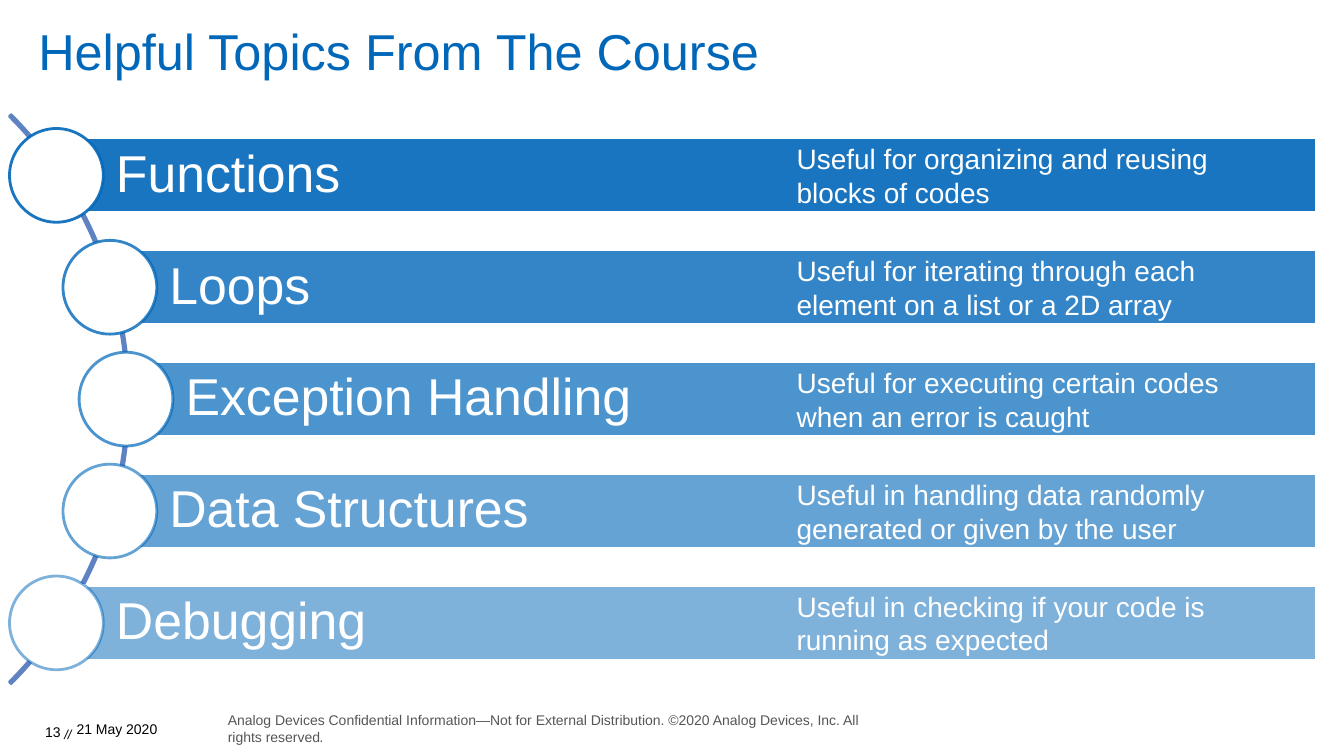
from dataclasses import dataclass

from lxml.etree import SubElement
from pptx import Presentation
from pptx.dml.color import RGBColor
from pptx.enum.shapes import MSO_SHAPE
from pptx.enum.text import MSO_ANCHOR, MSO_AUTO_SIZE, PP_ALIGN
from pptx.oxml.ns import qn
from pptx.util import Inches, Pt


@dataclass(frozen=True)
class Theme:
    font: str = "Arial"
    blue: RGBColor = RGBColor(0x00, 0x67, 0xB9)
    arc: RGBColor = RGBColor(0x5E, 0x82, 0xC2)
    gray: RGBColor = RGBColor(0x55, 0x56, 0x59)
    black: RGBColor = RGBColor(0, 0, 0)
    white: RGBColor = RGBColor(0xFF, 0xFF, 0xFF)
    title: Pt = Pt(36)
    topic: Pt = Pt(37)
    detail: Pt = Pt(20)
    slashes: Pt = Pt(16)
    footer: Pt = Pt(10)
    outline: Pt = Pt(2)


theme = Theme()


def write(shape, text, size, color, anchor, insets=(0, 0, 0, 0), align=PP_ALIGN.LEFT):
    frame = shape.text_frame
    frame.word_wrap = True
    frame.auto_size = MSO_AUTO_SIZE.NONE
    frame.vertical_anchor = anchor
    frame.margin_left, frame.margin_top, frame.margin_right, frame.margin_bottom = map(Inches, insets)
    para = frame.paragraphs[0]
    para.text = text
    para.alignment = align
    para.font.name = theme.font
    para.font.size = size
    para.font.color.rgb = color
    return para


def fade(parent, percent):
    color = parent.find(qn("a:solidFill"))[0]
    SubElement(color, qn("a:alpha")).set("val", str(percent * 1000))


deck = Presentation()
deck.slide_width = Inches(13.33)
deck.slide_height = Inches(7.5)
page = deck.slides.add_slide(deck.slide_layouts[5])
shapes = page.shapes

title = shapes.title
title.left, title.top, title.width, title.height = map(Inches, (0.38, -0.01, 11.25, 0.92))
write(title, "Helpful Topics From The Course", theme.title, theme.blue,
      MSO_ANCHOR.MIDDLE, (0, 0.2, 0, 0.1))

footer_top, footer_height = Inches(7.06), Inches(0.34)
notice = shapes.add_textbox(Inches(2.26), footer_top, Inches(6.47), footer_height)
para = write(notice, "Analog Devices Confidential Information—Not for External Distribution. "
             "©2020 Analog Devices, Inc. All rights reserved",
             theme.footer, theme.gray, MSO_ANCHOR.MIDDLE)
span = para.add_run()
span.text = "."
span.font.italic = True

number = shapes.add_textbox(Inches(0), footer_top, Inches(0.71), footer_height)
para = write(number, "13 ", theme.footer, theme.black, MSO_ANCHOR.MIDDLE, align=PP_ALIGN.RIGHT)
span = para.add_run()
span.text = "//"
span.font.size = theme.slashes
span.font.italic = True
span._r.get_or_add_rPr().set("baseline", "-11000")

date = shapes.add_textbox(Inches(0.76), footer_top, Inches(1.17), footer_height)
write(date, "21 May 2020", theme.footer, theme.black, MSO_ANCHOR.MIDDLE)

arc = shapes.add_shape(MSO_SHAPE.BLOCK_ARC, Inches(-6.7), Inches(-0.03), Inches(7.98), Inches(7.98))
for index, value in enumerate((189, 27, 0.003)):
    arc.adjustments[index] = value
arc.shadow.inherit = False
arc.fill.background()
arc.line.color.rgb = theme.arc
arc.line.width = theme.outline

topics = [
    ("Functions", 0.56, "Useful for organizing and reusing blocks of codes"),
    ("Loops", 1.09, "Useful for iterating through each element on a list or a 2D array"),
    ("Exception Handling", 1.25, "Useful for executing certain codes when an error is caught"),
    ("Data Structures", 1.09, "Useful in handling data randomly generated or given by the user"),
    ("Debugging", 0.56, "Useful in checking if your code is running as expected"),
]
first_top, pitch, bar_height, bar_right, diameter = 1.37, 1.11, 0.74, 13.06, 0.93

for row, (topic, left, detail) in enumerate(topics):
    top = first_top + row * pitch
    opacity = 90 - 10 * row

    bar = shapes.add_shape(MSO_SHAPE.RECTANGLE, Inches(left), Inches(top),
                           Inches(bar_right - left), Inches(bar_height))
    bar.shadow.inherit = False
    bar.fill.solid()
    bar.fill.fore_color.rgb = theme.blue
    fade(bar._element.spPr, opacity)
    bar.line.color.rgb = theme.white
    bar.line.width = theme.outline
    para = write(bar, topic, theme.topic, theme.white, MSO_ANCHOR.MIDDLE, (0.59, 0.1, 0.1, 0.1))
    para.line_spacing = 0.9

    circle = shapes.add_shape(MSO_SHAPE.OVAL, Inches(left - diameter / 2),
                              Inches(top + (bar_height - diameter) / 2),
                              Inches(diameter), Inches(diameter))
    circle.shadow.inherit = False
    circle.fill.solid()
    circle.fill.fore_color.rgb = theme.white
    circle.line.color.rgb = theme.blue
    circle.line.width = theme.outline
    fade(circle._element.spPr.find(qn("a:ln")), opacity)

    box = shapes.add_textbox(Inches(7.9), Inches(top), Inches(4.92), Inches(bar_height))
    write(box, detail, theme.detail, theme.white, MSO_ANCHOR.MIDDLE)

deck.save("out.pptx")
